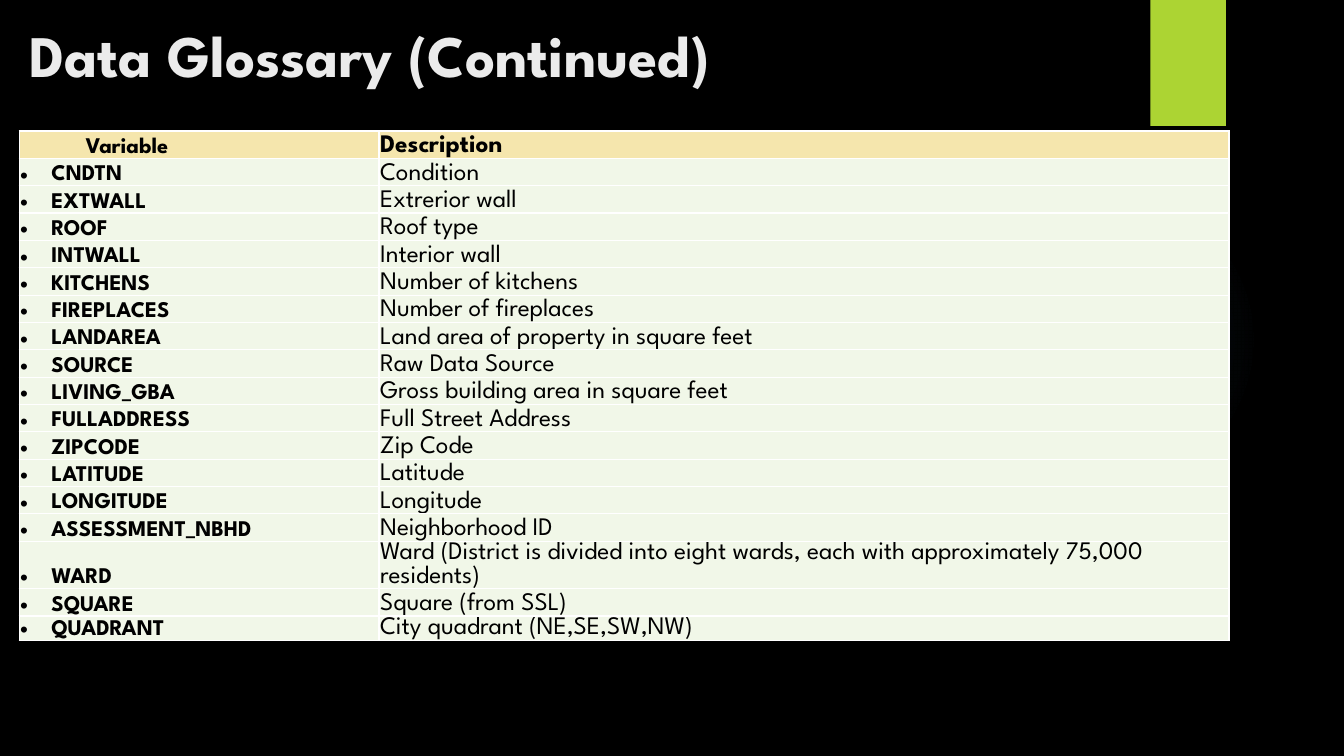
from lxml import etree
from pptx import Presentation
from pptx.dml.color import RGBColor
from pptx.enum.shapes import MSO_SHAPE
from pptx.enum.text import MSO_ANCHOR
from pptx.oxml import parse_xml
from pptx.oxml.ns import qn
from pptx.util import Inches, Pt

RECT, OVAL = MSO_SHAPE.RECTANGLE, MSO_SHAPE.OVAL
TOP, BOTTOM = MSO_ANCHOR.TOP, MSO_ANCHOR.BOTTOM
NS = 'xmlns:a="http://schemas.openxmlformats.org/drawingml/2006/main"'
FONT = "League Spartan"
COLORS = {"back": "000000", "title": "EBEBEB", "tab": "ACD433", "glow": "7AC4F0",
          "header": "F5E6AD", "body": "F1F7E8", "text": "000000", "border": "FFFFFF"}

TITLE = "Data Glossary (Continued)"
HEADER = ("Variable", "Description")
GLOSSARY = [
    ("CNDTN", "Condition"),
    ("EXTWALL", "Extrerior wall"),
    ("ROOF", "Roof type"),
    ("INTWALL", "Interior wall"),
    ("KITCHENS", "Number of kitchens"),
    ("FIREPLACES", "Number of fireplaces"),
    ("LANDAREA", "Land area of property in square feet"),
    ("SOURCE", "Raw Data Source"),
    ("LIVING_GBA", "Gross building area in square feet"),
    ("FULLADDRESS", "Full Street Address"),
    ("ZIPCODE", "Zip Code"),
    ("LATITUDE", "Latitude"),
    ("LONGITUDE", "Longitude"),
    ("ASSESSMENT_NBHD", "Neighborhood ID"),
    ("WARD", "Ward (District is divided into eight wards, "
             "each with approximately 75,000 residents)"),
    ("SQUARE", "Square (from SSL)"),
    ("QUADRANT", "City quadrant (NE,SE,SW,NW)"),
]
COL_WIDTHS = (3.57, 8.43)
ROW_HEIGHT, LAST_ROW_HEIGHT = 4.07 / 15, 0.24
LINE_HEIGHT = 0.92  # line pitch in the table, as a share of the text size
HEADER_INDENT, BULLET_INDENT = 0.65, 0.31
GLOW_STOPS = ((0, 7), (36, 6), (69, 0))  # position %, opacity %


def rgb(name):
    return RGBColor.from_string(COLORS[name])


def write(tf, text, size, color="text", bold=False, indent=0, bullet=False, line=None):
    p = tf.paragraphs[0]
    pPr = p._p.get_or_add_pPr()
    if indent:
        pPr.set("marL", str(Inches(indent)))
        pPr.set("indent", str(-Inches(indent) if bullet else 0))
    if bullet:
        etree.SubElement(pPr, qn("a:buFont")).set("typeface", "Arial")
        etree.SubElement(pPr, qn("a:buChar")).set("char", "•")
    if line:
        p.line_spacing = Pt(size * line)
    r = p.add_run()
    r.text = text
    r.font.name, r.font.size, r.font.bold = FONT, Pt(size), bold
    r.font.color.rgb = rgb(color)


def add_block(kind, x, y, w, h, color):
    s = shapes.add_shape(kind, Inches(x), Inches(y), Inches(w), Inches(h))
    s.shadow.inherit = False
    s.line.fill.background()
    s.fill.solid()
    s.fill.fore_color.rgb = rgb(color)
    return s


def style_cell(cell, fill):
    cell.margin_left = cell.margin_right = cell.margin_top = Inches(0.01)
    cell.margin_bottom = 0
    cell.vertical_anchor = BOTTOM
    tcPr = cell._tc.get_or_add_tcPr()
    for side in "TB":
        tcPr.append(parse_xml(
            f'<a:ln{side} {NS} w="{Pt(1)}"><a:solidFill>'
            f'<a:srgbClr val="{COLORS["border"]}"/></a:solidFill></a:ln{side}>'))
    cell.fill.solid()
    cell.fill.fore_color.rgb = rgb(fill)


prs = Presentation()
prs.slide_width, prs.slide_height = Inches(13.33), Inches(7.5)
slide = prs.slides.add_slide(prs.slide_layouts[6])
slide.background.fill.solid()
slide.background.fill.fore_color.rgb = rgb("back")
shapes = slide.shapes

# Faint round glow
glow = add_block(OVAL, 9.41, 1.83, 3.08, 3.08, "glow")
stops = "".join(f'<a:gs pos="{pos * 1000}"><a:srgbClr val="{COLORS["glow"]}">'
                f'<a:alpha val="{alpha * 1000}"/></a:srgbClr></a:gs>'
                for pos, alpha in GLOW_STOPS)
spPr = glow._element.spPr
spPr.replace(spPr.find(qn("a:solidFill")), parse_xml(
    f'<a:gradFill {NS}><a:gsLst>{stops}</a:gsLst><a:path path="circle">'
    '<a:fillToRect l="50000" t="50000" r="50000" b="50000"/></a:path></a:gradFill>'))

# Green tab with a soft shadow
tab = add_block(RECT, 11.41, 0, 0.75, 1.25, "tab")
tab._element.spPr.find(qn("a:effectLst")).append(parse_xml(
    f'<a:outerShdw {NS} blurRad="{Pt(3)}" dist="{Pt(2)}" dir="5400000" rotWithShape="0">'
    '<a:srgbClr val="000000"><a:alpha val="45000"/></a:srgbClr></a:outerShdw>'))

# Title
tf = shapes.add_textbox(Inches(0.19), Inches(0.15), Inches(11.5), Inches(1.45)).text_frame
tf.word_wrap = True
tf.vertical_anchor = TOP
tf.margin_top = Inches(0.04)
write(tf, TITLE, 42, color="title", bold=True)

# Glossary table
rows = [HEADER] + GLOSSARY
heights = [ROW_HEIGHT] * len(GLOSSARY) + [LAST_ROW_HEIGHT]
table = shapes.add_table(len(rows), len(COL_WIDTHS), Inches(0.19), Inches(1.3),
                         Inches(sum(COL_WIDTHS)), Inches(sum(heights))).table
table.horz_banding = False
for column, width in zip(table.columns, COL_WIDTHS):
    column.width = Inches(width)
for i, (variable, description) in enumerate(rows):
    is_header = i == 0
    table.rows[i].height = Inches(heights[i])
    name_cell, text_cell = table.cell(i, 0), table.cell(i, 1)
    for cell in (name_cell, text_cell):
        style_cell(cell, "header" if is_header else "body")
    write(name_cell.text_frame, variable, 16, bold=True, bullet=not is_header,
          indent=HEADER_INDENT if is_header else BULLET_INDENT, line=LINE_HEIGHT)
    write(text_cell.text_frame, description, 18, bold=is_header, line=LINE_HEIGHT)

prs.save("out.pptx")
